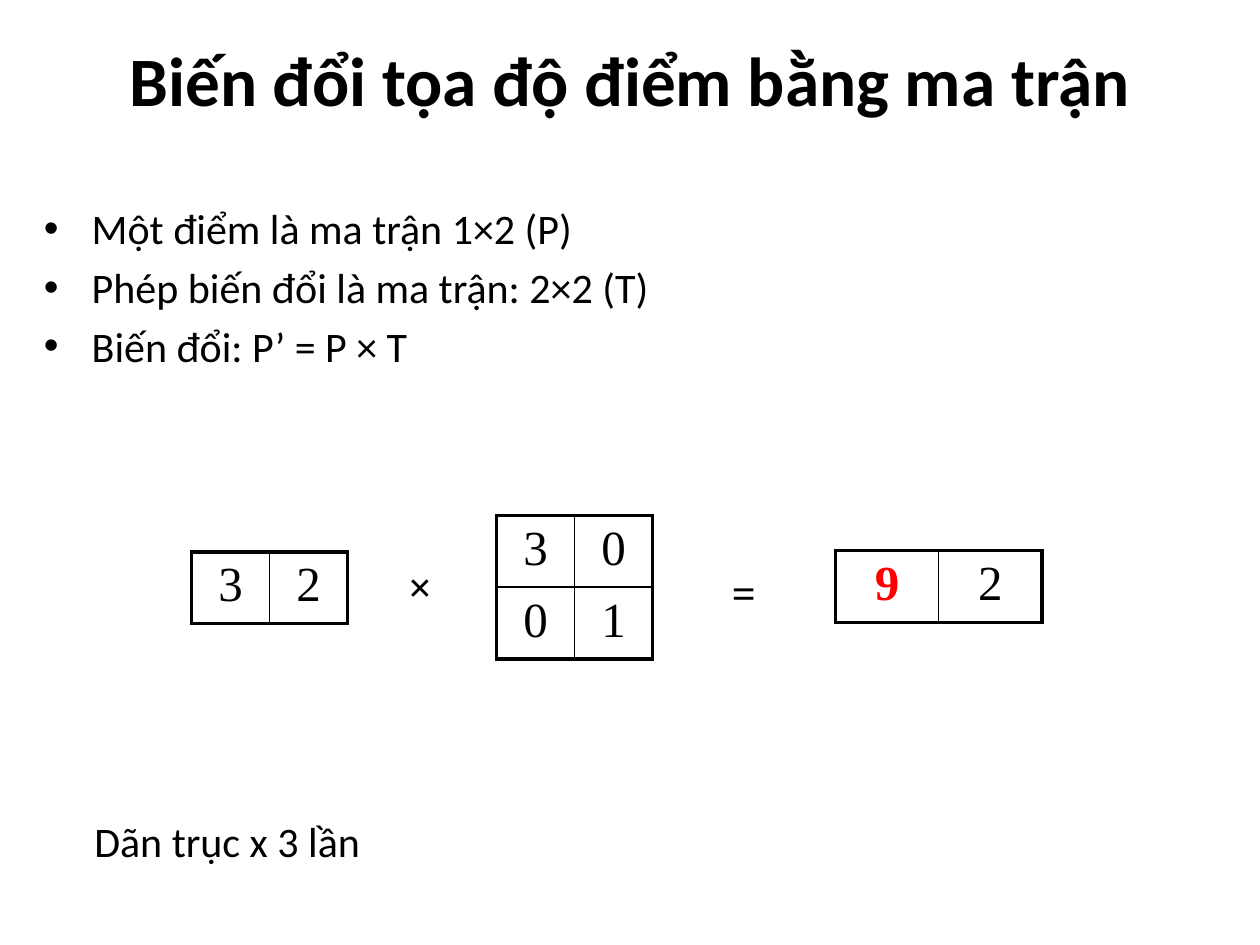
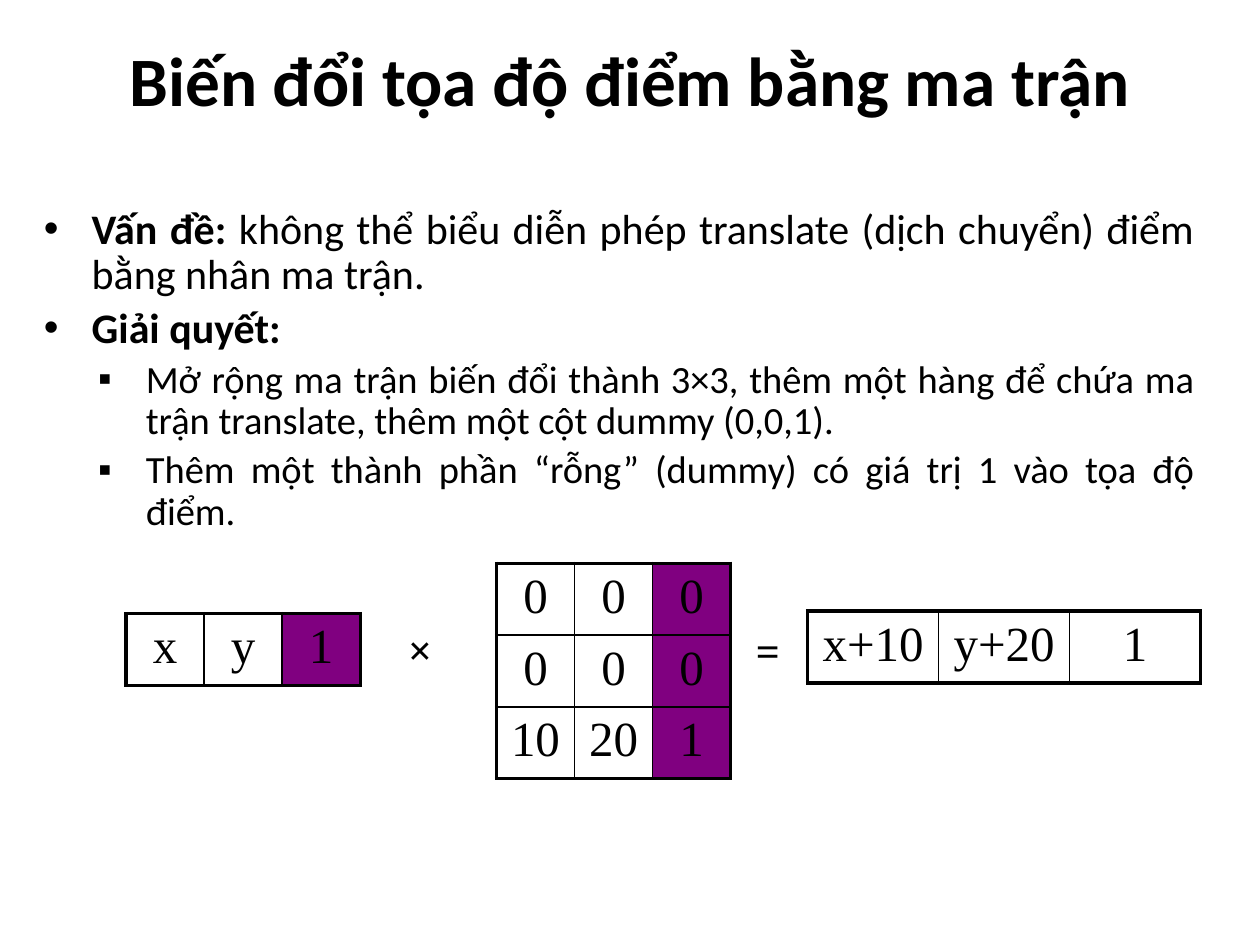
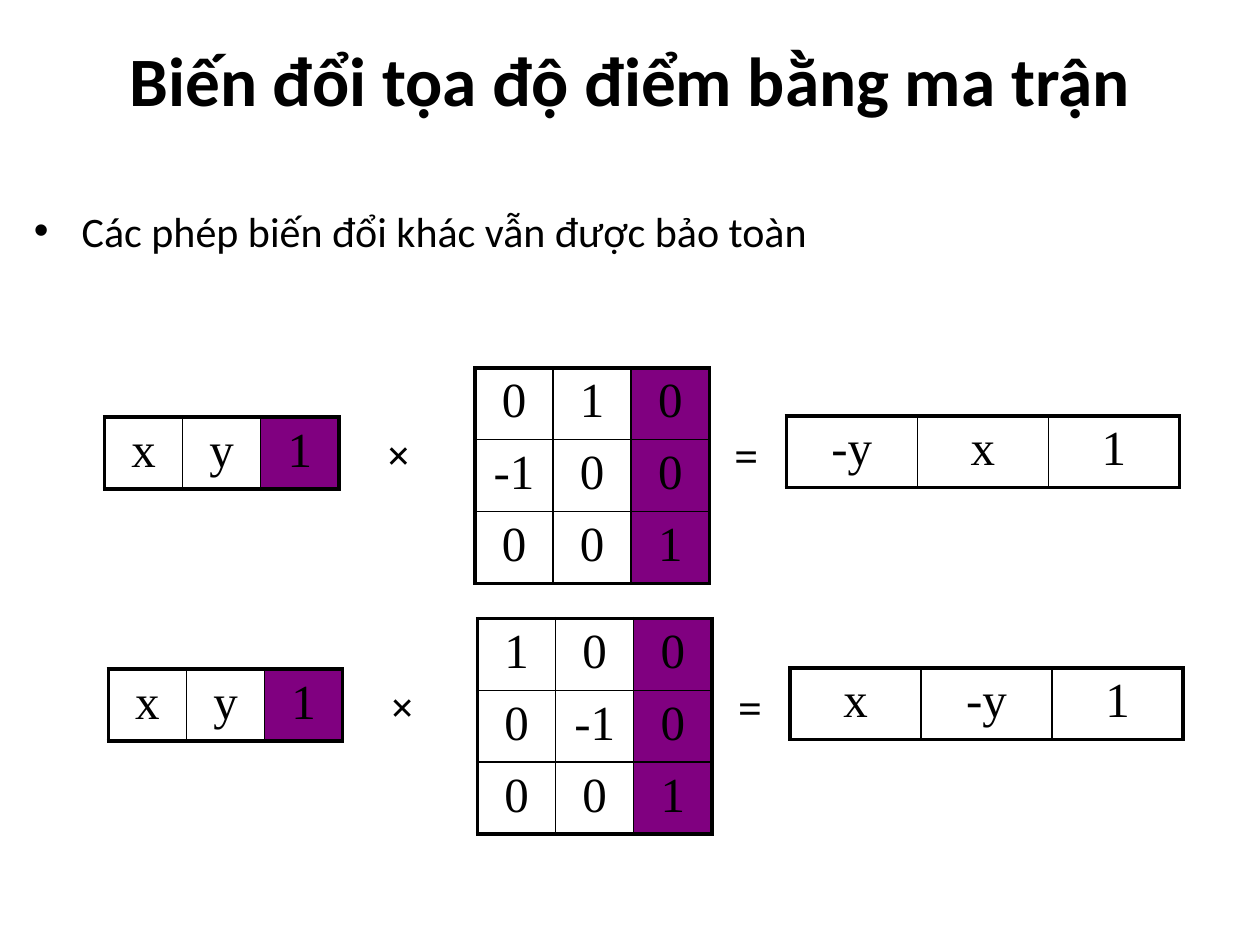
"""Builds three slides on transforming point coordinates with matrices."""
from lxml.etree import SubElement
from pptx import Presentation
from pptx.dml.color import RGBColor
from pptx.enum.text import MSO_ANCHOR, MSO_AUTO_SIZE, PP_ALIGN
from pptx.oxml.ns import qn
from pptx.util import Emu, Pt

PX = 9144
COLORS = {"ink": "000000", "changed": "FF0000", "dummy": "800080"}
TITLE = "Biến đổi tọa độ điểm bằng ma trận"
BODY, SERIF = "Calibri", "Times New Roman"
ROW, NARROW, MEDIUM, WIDE = 57, 62, 82, 104
THICK, THIN = 2.25, 1
BULLETS = {0: ("•", 38), 1: ("▪", 81)}
HANGING = 38

SLIDES = [
    {
        "texts": [
            ((25, 156, 917, 161), 1, [
                (0, 24, "", "Một điểm là ma trận 1×2 (P)"),
                (0, 24, "", "Phép biến đổi là ma trận: 2×2 (T)"),
                (0, 24, "", "Biến đổi: P’ = P × T"),
            ]),
            ((65, 642, 868, 50), 1, [(None, 24, "", "Dãn trục x 3 lần")]),
        ],
        "matrices": [
            (152, 438, NARROW, "plain", ["3 2"]),
            (394, 409, NARROW, "plain", ["3 0", "0 1"]),
            (663, 437, MEDIUM, "changed", ["9 2"]),
        ],
        "operators": [(314, 440, "×"), (571, 445, "=")],
    },
    {
        "texts": [
            ((25, 160, 933, 282), 0.9, [
                (0, 24, "Vấn đề: ", "không thể biểu diễn phép translate (dịch chuyển) điểm bằng nhân ma trận."),
                (0, 24, "Giải quyết:", ""),
                (1, 22, "", "Mở rộng ma trận biến đổi thành 3×3, thêm một hàng để chứa ma trận translate, "
                            "thêm một cột dummy (0,0,1)."),
                (1, 22, "", "Thêm một thành phần “rỗng” (dummy) có giá trị 1 vào tọa độ điểm."),
            ]),
        ],
        "matrices": [
            (100, 487, NARROW, "dummy", ["x y 1"]),
            (394, 447, NARROW, "dummy", ["0 0 0", "0 0 0", "10 20 1"]),
            (641, 485, WIDE, "plain", ["x+10 y+20 1"]),
        ],
        "operators": [(314, 490, "×"), (590, 491, "=")],
    },
    {
        "texts": [
            ((17, 158, 917, 85), 1, [(0, 24, "", "Các phép biến đổi khác vẫn được bảo toàn")]),
        ],
        "matrices": [
            (83, 331, NARROW, "dummy", ["x y 1"]),
            (377, 292, NARROW, "dummy", ["0 1 0", "-1 0 0", "0 0 1"]),
            (624, 330, WIDE, "plain", ["-y x 1"]),
            (86, 531, NARROW, "dummy", ["x y 1"]),
            (379, 491, NARROW, "dummy", ["1 0 0", "0 -1 0", "0 0 1"]),
            (627, 530, WIDE, "plain", ["x -y 1"]),
        ],
        "operators": [(297, 335, "×"), (573, 336, "="), (300, 535, "×"), (576, 536, "=")],
    },
]


def px(*lengths):
    return [Emu(length * PX) for length in lengths]


def add_span(para, text, size, name=BODY, bold=False, color="ink"):
    span = para.add_run()
    span.text = text
    for key, value in {"size": Pt(size), "name": name, "bold": bold}.items():
        setattr(span.font, key, value)
    span.font.color.rgb = RGBColor.from_string(COLORS[color])


deck = Presentation()
deck.slide_width, deck.slide_height = px(1000, 750)

for content in SLIDES:
    page = deck.slides.add_slide(deck.slide_layouts[5])
    title = page.shapes.title
    title.left, title.top, title.width, title.height = px(50, 0, 900, 125)
    title.text_frame.auto_size = MSO_AUTO_SIZE.NONE
    title.text_frame.vertical_anchor = MSO_ANCHOR.MIDDLE
    para = title.text_frame.paragraphs[0]
    para.alignment = PP_ALIGN.CENTER
    add_span(para, TITLE, 39.6, bold=True)

    for place, line_spacing, items in content["texts"]:
        frame = page.shapes.add_textbox(*px(*place)).text_frame
        frame.word_wrap = True
        for index, (level, size, lead, text) in enumerate(items):
            para = frame.paragraphs[0] if index == 0 else frame.add_paragraph()
            settings = {"alignment": PP_ALIGN.JUSTIFY, "level": level or 0,
                        "line_spacing": line_spacing, "space_before": Pt(size * 0.2)}
            for key, value in settings.items():
                setattr(para, key, value)
            if level is not None:
                symbol, margin = BULLETS[level]
                properties = para._p.get_or_add_pPr()
                properties.set("marL", str(margin * PX))
                properties.set("indent", str(-HANGING * PX))
                SubElement(properties, qn("a:buFont"), typeface="Arial")
                SubElement(properties, qn("a:buChar"), char=symbol)
            if lead:
                add_span(para, lead, size, bold=True)
            if text:
                add_span(para, text, size)

    for left, top, column_width, role, lines in content["matrices"]:
        rows = [line.split() for line in lines]
        last_row, last_column = len(rows) - 1, len(rows[0]) - 1
        place = px(left, top, column_width * len(rows[0]), ROW * len(rows))
        table = page.shapes.add_table(len(rows), len(rows[0]), *place).table
        table.first_row = table.horz_banding = False
        for row, values in enumerate(rows):
            for column, value in enumerate(values):
                cell = table.cell(row, column)
                properties = cell._tc.get_or_add_tcPr()
                outer = {"L": column == 0, "R": column == last_column,
                         "T": row == 0, "B": row == last_row}
                for side, is_outer in outer.items():
                    width = Pt(THICK if is_outer else THIN)
                    line = SubElement(properties, qn(f"a:ln{side}"), w=str(width))
                    SubElement(SubElement(line, qn("a:solidFill")), qn("a:srgbClr"), val=COLORS["ink"])
                if role == "dummy" and column == last_column:
                    cell.fill.solid()
                    cell.fill.fore_color.rgb = RGBColor.from_string(COLORS["dummy"])
                else:
                    cell.fill.background()
                changed = role == "changed" and column == 0
                para = cell.text_frame.paragraphs[0]
                para.alignment = PP_ALIGN.CENTER
                para.space_before = Pt(5.6)
                add_span(para, value, 28, SERIF, changed, "changed" if changed else "ink")

    for left, top, symbol in content["operators"]:
        frame = page.shapes.add_textbox(*px(left, top, 45, 50)).text_frame
        frame.word_wrap = True
        para = frame.paragraphs[0]
        para.space_before = Pt(12)
        add_span(para, symbol, 24, SERIF, bold=True)

deck.save("out.pptx")
